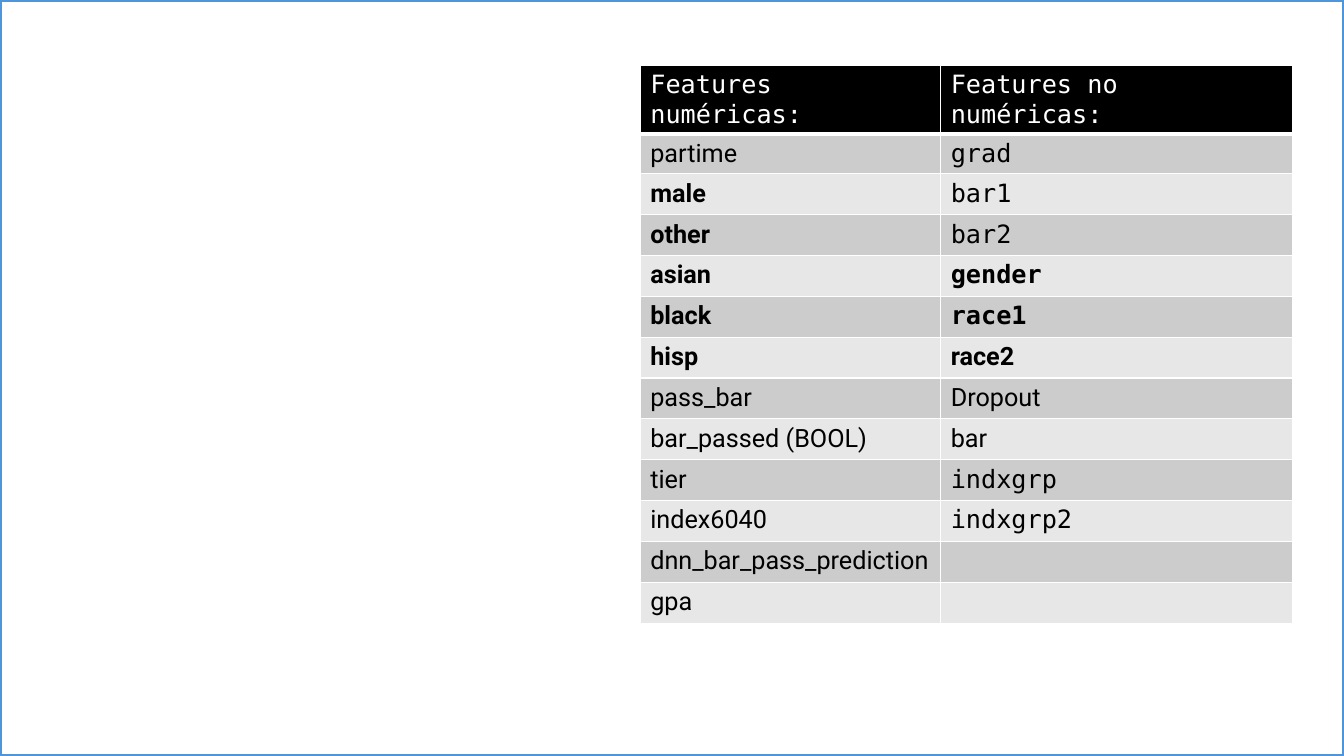
import pptx
import pptx.dml.color
import pptx.enum.shapes
import pptx.oxml
import pptx.oxml.ns
import pptx.util

Inches, Pt = pptx.util.Inches, pptx.util.Pt
MONO, SANS = "DejaVu Sans Mono", "Roboto"
HEADERS = ("Features numéricas:", "Features no numéricas:")
NUMERIC = ("partime", "male", "other", "asian", "black", "hisp", "pass_bar",
           "bar_passed (BOOL)", "tier", "index6040", "dnn_bar_pass_prediction", "gpa")
NON_NUMERIC = ("grad", "bar1", "bar2", "gender", "race1", "race2", "Dropout",
               "bar", "indxgrp", "indxgrp2", "", "")
SENSITIVE = {"male", "other", "asian", "black", "hisp", "gender", "race1", "race2"}
SANS_NAMES = {*NUMERIC, "race2", "Dropout", "bar"}


def rgb(color):
    """Return the colour for a hex string."""
    return pptx.dml.color.RGBColor.from_string(color)


def set_borders(cell, bottom):
    """Give a cell white borders, with its own bottom width in points."""
    tc_pr = cell._tc.get_or_add_tcPr()
    for side, width in (("L", 1), ("R", 1), ("T", 1), ("B", bottom)):
        tc_pr.append(pptx.oxml.parse_xml(
            f'<a:ln{side} {pptx.oxml.ns.nsdecls("a")} w="{Pt(width)}"><a:solidFill>'
            f'<a:srgbClr val="FFFFFF"/></a:solidFill></a:ln{side}>'))


def fill_cell(cell, text, font, color, fill, bold=False, bottom=1):
    """Write and format one table cell."""
    set_borders(cell, bottom)
    cell.fill.solid()
    cell.fill.fore_color.rgb = rgb(fill)
    cell.text_frame.text = text
    for r in cell.text_frame.paragraphs[0].runs:
        r.font.name, r.font.size, r.font.bold = font, Pt(18), bold
        r.font.color.rgb = rgb(color)


def add_frame(s, left, top, width, height):
    """Outline the given box in blue."""
    sp = s.shapes.add_shape(pptx.enum.shapes.MSO_SHAPE.RECTANGLE,
                            Inches(left), Inches(top), Inches(width), Inches(height))
    sp.shadow.inherit = False
    sp.fill.background()
    sp.line.color.rgb = rgb("4E95D9")
    sp.line.width = Pt(3)


def add_features(s, left, top, width, height):
    """Add the table of numeric and non-numeric features."""
    features = list(zip(NUMERIC, NON_NUMERIC))
    table = s.shapes.add_table(len(features) + 1, 2, Inches(left), Inches(top),
                               Inches(width), Inches(height)).table
    first_width, header_height, first_height = 2.98, 0.68, 0.39
    row_height = (height - header_height - first_height) / (len(features) - 1)
    table.columns[0].width = Inches(first_width)
    table.columns[1].width = Inches(width - first_width)
    for i, row in enumerate(table.rows):
        row.height = Inches((header_height, first_height)[i] if i < 2 else row_height)
    for j, text in enumerate(HEADERS):
        fill_cell(table.cell(0, j), text, MONO, "FFFFFF", "000000", bottom=3)
    for i, names in enumerate(features, 1):
        for j, name in enumerate(names):
            fill_cell(table.cell(i, j), name, SANS if name in SANS_NAMES else MONO,
                      "000000", "CCCCCC" if i % 2 else "E7E7E7", name in SENSITIVE)


def main():
    """Build and save the slide."""
    prs = pptx.Presentation()
    prs.slide_width, prs.slide_height = Inches(13.33), Inches(7.5)
    s = prs.slides.add_slide(prs.slide_layouts[6])
    add_frame(s, 0, 0, 13.33, 7.5)
    add_features(s, 6.35, 0.65, 6.47, 5.53)
    prs.save("out.pptx")


if __name__ == "__main__":
    main()
